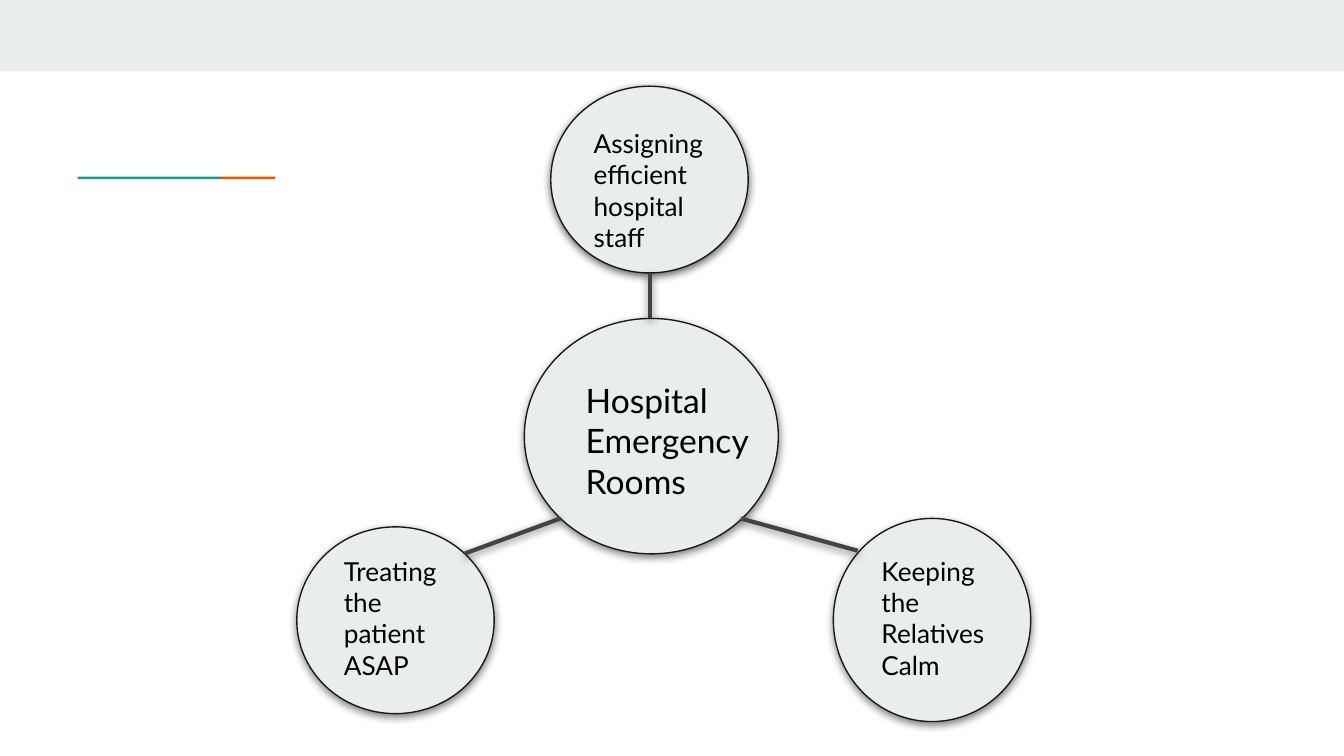
import pptx
import pptx.dml.color
import pptx.enum.shapes
import pptx.oxml
import pptx.oxml.ns
import pptx.util

Cm = pptx.util.Cm
Pt = pptx.util.Pt
RGB = pptx.dml.color.RGBColor
Kind = pptx.enum.shapes.MSO_SHAPE

PALE = RGB(0xE9, 0xED, 0xEE)
TEAL = RGB(0x1A, 0x99, 0x88)
ORANGE = RGB(0xEB, 0x56, 0x00)
EDGE = RGB(0x1A, 0x1A, 0x1A)
GREY = RGB(0x43, 0x43, 0x43)
BLACK = RGB(0, 0, 0)

# All places are left, top, width, height in cm.
BARS = [
    ((0, 0, 25.4, 1.35), PALE),
    ((1.47, 3.34, 2.71, 0.05), TEAL),
    ((4.18, 3.34, 1.02, 0.05), ORANGE),
]
# circle, shadow strength in percent
CIRCLES = [
    ((9.91, 6.02, 4.8, 4.45), 50),
    ((10.41, 1.63, 3.73, 3.53), 60),
    ((5.61, 9.96, 3.73, 3.53), 50),
    ((15.75, 9.8, 3.73, 3.84), 50),
]
LABELS = [
    ("Hospital Emergency Rooms", (10.82, 6.93, 3.73, 1.83), 18),
    ("Assigning efficient hospital staff", (10.97, 2.16, 2.62, 2.06), 14),
    ("Treating the patient ASAP", (6.25, 10.24, 2.41, 1.83), 14),
    ("Keeping the Relatives Calm", (16.41, 10.24, 3.07, 2.36), 14),
]
# x and y of the start, then of the end
SPOKES = [
    (12.29, 5.16, 12.29, 6.02),
    (10.59, 9.8, 8.79, 10.46),
    (16.21, 10.41, 14, 9.8),
]


def lengths(place):
    return [Cm(n) for n in place]


def add_shade(shape, alpha):
    """Drop a soft black shadow straight below the shape."""
    shape._element.spPr.append(pptx.oxml.parse_xml(
        f'<a:effectLst {pptx.oxml.ns.nsdecls("a")}>'
        f'<a:outerShdw blurRad="{Pt(4.5)}" dist="{Pt(1.5)}" dir="5400000" '
        'algn="bl" rotWithShape="0"><a:srgbClr val="000000">'
        f'<a:alpha val="{alpha * 1000}"/></a:srgbClr></a:outerShdw>'
        '</a:effectLst>'))


def add_solid(slide, kind, place, fill):
    shape = slide.shapes.add_shape(kind, *lengths(place))
    shape.fill.solid()
    shape.fill.fore_color.rgb = fill
    return shape


def add_bar(slide, place, fill):
    bar = add_solid(slide, Kind.RECTANGLE, place, fill)
    bar.line.fill.background()
    bar.shadow.inherit = False


def add_circle(slide, place, alpha):
    disc = add_solid(slide, Kind.OVAL, place, PALE)
    disc.line.color.rgb = EDGE
    disc.line.width = Pt(0.75)
    add_shade(disc, alpha)


def add_label(slide, text, place, size):
    frame = slide.shapes.add_textbox(*lengths(place)).text_frame
    frame.word_wrap = True
    frame.margin_left = frame.margin_right = Cm(0.25)
    frame.margin_top = frame.margin_bottom = Cm(0.25)
    frame.text = text
    font = frame.paragraphs[0].runs[0].font
    font.name = "Lato"
    font.size = Pt(size)
    font.color.rgb = BLACK


def add_spoke(slide, ends):
    line = slide.shapes.add_connector(
        pptx.enum.shapes.MSO_CONNECTOR.STRAIGHT, *lengths(ends))
    line.line.color.rgb = GREY
    line.line.width = Pt(2.25)
    add_shade(line, 50)


def main():
    deck = pptx.Presentation()
    deck.slide_width, deck.slide_height = Cm(25.4), Cm(14.29)
    slide = deck.slides.add_slide(deck.slide_layouts[6])
    for place, fill in BARS:
        add_bar(slide, place, fill)
    for place, alpha in CIRCLES:
        add_circle(slide, place, alpha)
    for text, place, size in LABELS:
        add_label(slide, text, place, size)
    for ends in SPOKES:
        add_spoke(slide, ends)
    deck.save("out.pptx")


if __name__ == "__main__":
    main()
